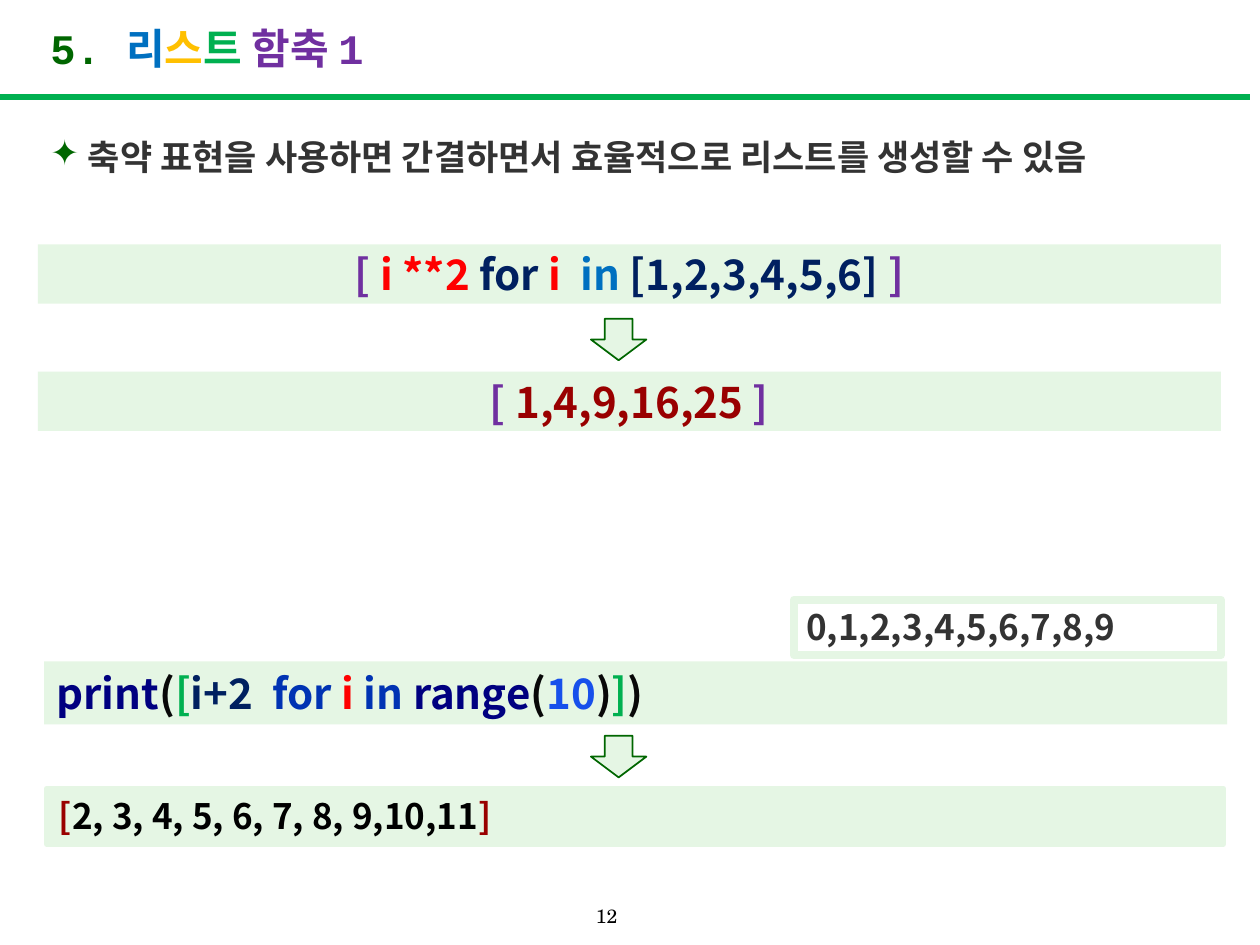
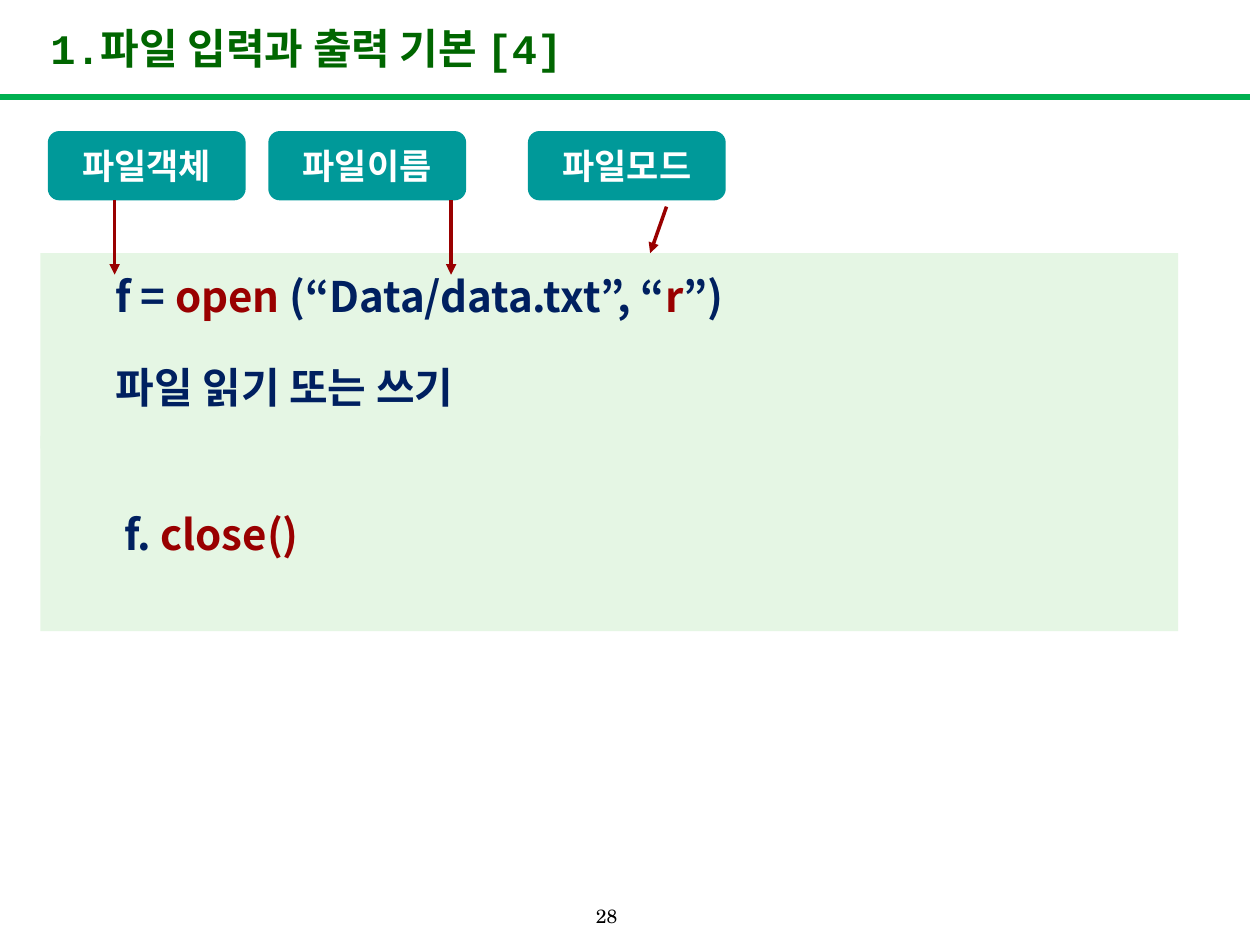
"""Build two lecture slides about list comprehensions and file access."""
from lxml import etree
from pptx import Presentation
from pptx.dml.color import RGBColor
from pptx.enum.shapes import MSO_CONNECTOR, MSO_SHAPE
from pptx.enum.text import MSO_ANCHOR, PP_ALIGN
from pptx.oxml.ns import qn
from pptx.util import Inches, Pt

RECT, ROUND_RECT, DOWN_ARROW = MSO_SHAPE.RECTANGLE, MSO_SHAPE.ROUNDED_RECTANGLE, MSO_SHAPE.DOWN_ARROW
STRAIGHT = MSO_CONNECTOR.STRAIGHT
TOP, MIDDLE = MSO_ANCHOR.TOP, MSO_ANCHOR.MIDDLE
LEFT, CENTER, JUSTIFY = PP_ALIGN.LEFT, PP_ALIGN.CENTER, PP_ALIGN.JUSTIFY

SANS, MONO, SERIF = "Noto Sans CJK KR", "Courier New", "TeX Gyre Schola"
TITLE_ONLY = 5
COLORS = {
    "white": "FFFFFF", "black": "000000", "ink": "080808", "grey": "333333",
    "pale": "E5F6E4", "forest": "006600", "green": "00B050", "teal": "009999",
    "blue": "0070C0", "navy": "002060", "builtin": "000080", "keyword": "0033B3",
    "number": "1750EB", "red": "FF0000", "maroon": "990000",
    "yellow": "FFC000", "purple": "7030A0",
}


def color(name):
    """Return the named colour."""
    return RGBColor.from_string(COLORS[name])


def write(para, pieces, size=24, font=SANS, bold=True):
    """Fill a paragraph with (text, colour) pieces."""
    for text, tint in pieces:
        span = para.add_run()
        span.text = text
        span.font.size = Pt(size)
        span.font.name = font
        span.font.bold = bold
        span.font.color.rgb = color(tint)
        east_asian = etree.SubElement(span.font._element, qn("a:ea"))
        east_asian.set("typeface", SANS)


def add_block(page, kind, frame, fill, line=None, width=1):
    """Add a filled preset shape, outlined if a line colour is given."""
    block = page.shapes.add_shape(kind, *map(Inches, frame))
    block.shadow.inherit = False
    block.fill.solid()
    block.fill.fore_color.rgb = color(fill)
    if line:
        block.line.color.rgb = color(line)
        block.line.width = Pt(width)
    else:
        block.line.fill.background()
    return block


def label(block, pieces, size=24, align=LEFT, anchor=MIDDLE):
    """Write one line of text in a shape."""
    block.text_frame.word_wrap = True
    block.text_frame.vertical_anchor = anchor
    para = block.text_frame.paragraphs[0]
    para.alignment = align
    write(para, pieces, size)


def add_line(page, start, end, tint, width, arrow=False):
    """Draw a straight line, with an arrowhead at its end on request."""
    line = page.shapes.add_connector(STRAIGHT, *map(Inches, start + end))
    line.line.color.rgb = color(tint)
    line.line.width = Pt(width)
    if arrow:
        etree.SubElement(line.line._get_or_add_ln(), qn("a:tailEnd"), type="triangle")
    etree.SubElement(line._element.spPr, qn("a:effectLst"))


def add_text_box(page, frame, anchor=TOP):
    """Add a wrapping text box and return its first paragraph."""
    box = page.shapes.add_textbox(*map(Inches, frame))
    box.text_frame.word_wrap = True
    box.text_frame.vertical_anchor = anchor
    return box.text_frame.paragraphs[0]


def add_page(deck, title_pieces, number):
    """Add a page with its title, green rule and page number."""
    page = deck.slides.add_slide(deck.slide_layouts[TITLE_ONLY])
    title = page.shapes.title
    title.left, title.top, title.width, title.height = map(Inches, (0.3, 0.08, 5.57, 0.59))
    title.text_frame.vertical_anchor = MIDDLE
    para = title.text_frame.paragraphs[0]
    para.alignment = LEFT
    write(para, title_pieces, font=MONO)
    add_line(page, (0, 0.77), (9.92, 0.77), "green", 3)
    footer = add_text_box(page, (4.56, 7.11, 0.51, 0.31), MIDDLE)
    footer.alignment = CENTER
    write(footer, [(number, "black")], 11, SERIF, bold=False)
    return page


def add_bullet(page, text):
    """Add the star-bulleted statement below the title."""
    para = add_text_box(page, (0.3, 0.93, 9.03, 0.69))
    para.alignment = JUSTIFY
    para.line_spacing = 1.3
    para.space_before = Pt(18)
    props = para._p.get_or_add_pPr()
    props.set("marL", str(Inches(0.3)))
    props.set("indent", str(-Inches(0.3)))
    tint = etree.SubElement(props, qn("a:buClr"))
    etree.SubElement(tint, qn("a:srgbClr"), val=COLORS["forest"])
    etree.SubElement(props, qn("a:buChar"), char="✦")
    write(para, [(text, "grey")], 20)


def add_code_panel(page, top, lines, indent, anchor):
    """Add a pale panel holding indented lines of code."""
    panel = add_block(page, RECT, (0.32, top, 9.03, 1.55), "pale")
    frame = panel.text_frame
    frame.word_wrap = True
    frame.vertical_anchor = anchor
    frame.margin_top = Inches(0.14 if anchor == TOP else 0.05)
    for index, pieces in enumerate(lines):
        para = frame.add_paragraph() if index else frame.paragraphs[0]
        para.alignment = LEFT
        para.space_before = Pt(23 if index else 0)
        para._p.get_or_add_pPr().set("marL", str(Inches(indent)))
        write(para, pieces)


def build_comprehension_page(deck):
    """Build the page on list comprehensions."""
    page = add_page(deck, [("5. ", "forest"), ("리", "blue"), ("스", "yellow"),
                           ("트 ", "green"), ("함축 1", "purple")], "12")
    add_bullet(page, "축약 표현을 사용하면 간결하면서 효율적으로 리스트를 생성할 수 있음")
    squares = [("[ ", "purple"), ("i **2 ", "red"), ("for ", "navy"), ("i", "red"),
               ("  in ", "blue"), ("[1,2,3,4,5,6] ", "navy"), ("]", "purple")]
    squares_result = [("[ ", "purple"), ("1,4,9,16,25 ", "maroon"), ("]", "purple")]
    for top, pieces in ((1.94, squares), (2.95, squares_result)):
        label(add_block(page, RECT, (0.3, top, 9.39, 0.47), "pale"), pieces, align=CENTER)

    print_call = [("print", "builtin"), ("(", "ink"), ("[", "green"), ("i+2  ", "navy"),
                  ("for ", "keyword"), ("i ", "red"), ("in ", "keyword"),
                  ("range", "builtin"), ("(", "ink"), ("10", "number"), (")", "ink"),
                  ("]", "green"), (")", "ink")]
    label(add_block(page, RECT, (0.35, 5.25, 9.39, 0.5), "pale"), print_call)
    printed = add_block(page, RECT, (0.37, 6.26, 9.34, 0.44), "pale", "pale", 3)
    label(printed, [("[", "maroon"), ("2, 3, 4, 5, 6, 7, 8, 9,10,11", "black"),
                    ("]", "maroon")], 20, anchor=TOP)
    range_values = add_block(page, RECT, (6.3, 4.76, 3.39, 0.44), "white", "pale", 4.5)
    label(range_values, [("0,1,2,3,4,5,6,7,8,9", "grey")], 20, anchor=TOP)
    for top in (2.53, 5.84):
        add_block(page, DOWN_ARROW, (4.69, top, 0.44, 0.33), "pale", "forest")


def build_file_page(deck):
    """Build the page on opening and closing files."""
    page = add_page(deck, [("1.파일 입력과 출력 기본 [4]", "forest")], "28")
    open_call = [("f = ", "navy"), ("open ", "maroon"), ("(“Data/data.txt”, “", "navy"),
                 ("r", "maroon"), ("”)", "navy")]
    add_code_panel(page, 2.01, [open_call, [("파일 읽기 또는 쓰기", "navy")]], 0.5, TOP)
    add_code_panel(page, 3.46, [[("f. ", "navy"), ("close()", "maroon")]], 0.57, MIDDLE)
    for left, text in ((0.38, "파일객체"), (2.13, "파일이름"), (4.19, "파일모드")):
        tag = add_block(page, ROUND_RECT, (left, 1.04, 1.57, 0.55), "teal")
        label(tag, [(text, "white")], 20, CENTER)
    for start, end in (((0.91, 1.59), (0.91, 2.18)), ((3.58, 1.59), (3.58, 2.18)),
                       ((5.29, 1.64), (5.16, 2.01))):
        add_line(page, start, end, "maroon", 2, arrow=True)


def main():
    """Build and save the deck."""
    deck = Presentation()
    deck.slide_width, deck.slide_height = Inches(10), Inches(7.5)
    build_comprehension_page(deck)
    build_file_page(deck)
    deck.save("out.pptx")


if __name__ == "__main__":
    main()
